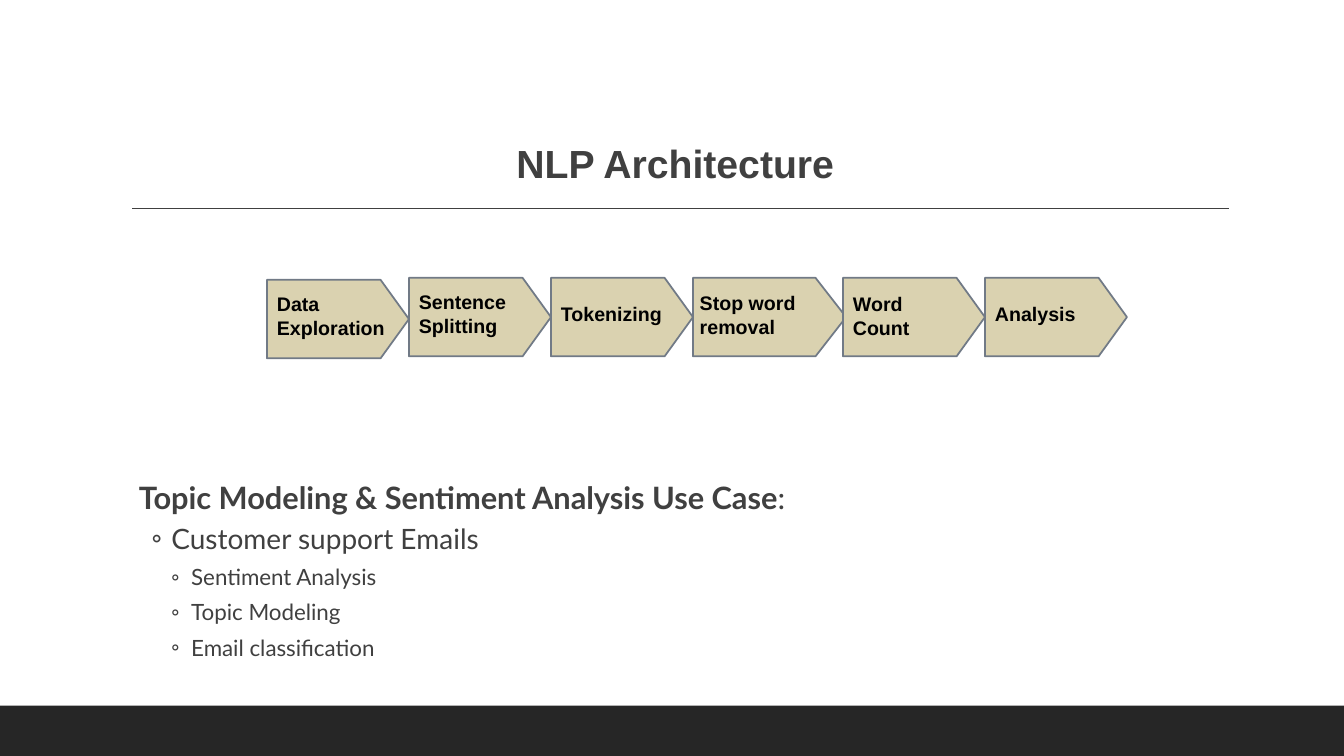
from lxml import etree
from pptx import Presentation
from pptx import util as u
from pptx.dml.color import RGBColor
from pptx.enum import shapes, text
from pptx.oxml.ns import qn

COLORS = {"bar": "262626", "ink": "404040", "label": "000000",
          "arrow": "DAD2B0", "outline": "717A86"}

# label, arrow length, arrow drop, label width, label shift right, label shift down (cm)
STEPS = [
    ("Data Exploration", 3.58, 0.05, 3.56, 0, -0.03),
    ("Sentence Splitting", 3.58, 0, 3.4, 0, -0.08),
    ("Tokenizing", 3.58, 0, 3.2, 0, -0.08),
    ("Stop word removal", 3.86, 0, 4.14, -0.08, -0.06),
    ("Word Count", 3.58, 0, 3.22, 0, -0.04),
    ("Analysis", 3.58, 0, 3.68, 0, -0.08),
]
ARROW_HEIGHT = 1.98
LONG_ARROW_OVERLAP = 0.08

# text, level, size, left margin (cm), bullet
USE_CASE = [
    ("Topic Modeling & Sentiment Analysis Use Case:", 0, 22, 0.25, None),
    ("Customer support Emails", 1, 20, 1.07, "◦"),
    ("Sentiment Analysis", 2, 16, 1.57, "◦"),
    ("Topic Modeling", 2, 16, 1.57, "◦"),
    ("Email classification", 2, 16, 1.57, "◦"),
]


def color(name):
    return RGBColor.from_string(COLORS[name])


def place(shape, left, top, width, height):
    shape.left, shape.top = u.Cm(left), u.Cm(top)
    shape.width, shape.height = u.Cm(width), u.Cm(height)


def format_runs(paragraph, name, size, color_name, bold):
    for run in paragraph.runs:
        run.font.name, run.font.size, run.font.bold = name, u.Pt(size), bold
        run.font.color.rgb = color(color_name)


def set_bullet(paragraph, margin, bullet):
    properties = paragraph._p.get_or_add_pPr()
    properties.set("marL", str(u.Cm(margin)))
    properties.set("indent", str(u.Cm(-0.51) if bullet else 0))
    if bullet:
        bullet_color = etree.SubElement(properties, qn("a:buClr"))
        etree.SubElement(bullet_color, qn("a:srgbClr"), val=COLORS["ink"])
        etree.SubElement(properties, qn("a:buFont"), typeface="Lato")
        etree.SubElement(properties, qn("a:buChar"), char=bullet)
    else:
        etree.SubElement(properties, qn("a:buNone"))


def add_frame(slide, left, top, width, height):
    """Footer bar and the rule under the title."""
    bar_height = 1.27
    bar = slide.shapes.add_shape(
        shapes.MSO_SHAPE.RECTANGLE, u.Cm(left), u.Cm(top + height - bar_height),
        u.Cm(width), u.Cm(bar_height))
    bar.shadow.inherit = False
    bar.fill.solid()
    bar.fill.fore_color.rgb = color("bar")
    bar.line.fill.background()

    rule_top = u.Cm(top + 5.26)
    rule = slide.shapes.add_connector(
        shapes.MSO_CONNECTOR.STRAIGHT, u.Cm(left + 3.33), rule_top,
        u.Cm(left + 30.99), rule_top)
    rule.line.color.rgb = color("ink")
    rule.line.width = u.Pt(1)
    etree.SubElement(rule._element.spPr, qn("a:effectLst"))


def add_title(slide, left, top, width, height):
    title = slide.shapes.title
    place(title, left, top, width, height)
    frame = title.text_frame
    frame.text = "NLP Architecture"
    frame.auto_size = text.MSO_AUTO_SIZE.NONE
    frame.vertical_anchor = text.MSO_ANCHOR.BOTTOM
    paragraph = frame.paragraphs[0]
    paragraph.alignment = text.PP_ALIGN.CENTER
    paragraph.line_spacing = 0.9
    format_runs(paragraph, "Arial", 28, "ink", True)


def add_arrow(slide, left, top, length, height):
    """The connector shape points down, so it is turned about its centre."""
    arrow = slide.shapes.add_shape(
        shapes.MSO_SHAPE.FLOWCHART_OFFPAGE_CONNECTOR,
        u.Cm(left + (length - height) / 2), u.Cm(top + (height - length) / 2),
        u.Cm(height), u.Cm(length))
    arrow.rotation = 270
    arrow.shadow.inherit = False
    arrow.fill.solid()
    arrow.fill.fore_color.rgb = color("arrow")
    arrow.line.color.rgb = color("outline")
    arrow.line.width = u.Pt(1.25)


def add_label(slide, label, left, top, width, height):
    box = slide.shapes.add_textbox(u.Cm(left), u.Cm(top), u.Cm(width), u.Cm(height))
    frame = box.text_frame
    frame.word_wrap = True
    frame.vertical_anchor = text.MSO_ANCHOR.MIDDLE
    frame.text = label
    format_runs(frame.paragraphs[0], "Arial", 14, "label", True)


def add_pipeline(slide, left, top):
    for label, length, drop, label_width, shift_x, shift_y in STEPS:
        add_arrow(slide, left, top + drop, length, ARROW_HEIGHT)
        add_label(slide, label, left + shift_x, top + shift_y, label_width, ARROW_HEIGHT)
        left += length
        if length > 3.58:
            left -= LONG_ARROW_OVERLAP


def add_use_case(slide, left, top, width, height):
    body = slide.placeholders[1]
    place(body, left, top, width, height)
    frame = body.text_frame
    frame.text = "\n".join(line[0] for line in USE_CASE)
    frame.auto_size = text.MSO_AUTO_SIZE.NONE
    frame.margin_left = frame.margin_right = 0
    for paragraph, (_, level, size, margin, bullet) in zip(frame.paragraphs, USE_CASE):
        heading = level == 0
        paragraph.level = level
        paragraph.line_spacing = 1.1 if heading else 1.0
        paragraph.space_before = u.Pt(0 if heading else 2)
        paragraph.space_after = u.Pt(2 if heading else 4)
        set_bullet(paragraph, margin, bullet)
        if heading:
            # The closing colon is a run of its own, in regular weight
            paragraph.runs[0].text = paragraph.text.rstrip(":")
            paragraph.add_run().text = ":"
        format_runs(paragraph, "Lato", size, "ink", heading)
        paragraph.runs[-1].font.bold = False


def main():
    presentation = Presentation()
    presentation.slide_width, presentation.slide_height = u.Cm(33.88), u.Cm(19.05)
    slide = presentation.slides.add_slide(presentation.slide_layouts[1])
    add_frame(slide, 0, 0, 33.88, 19.05)
    add_title(slide, 3.05, 0.79, 27.94, 4.04)
    add_pipeline(slide, 6.73, 7)
    add_use_case(slide, 3.25, 11.84, 27.94, 5.15)
    presentation.save("out.pptx")


if __name__ == "__main__":
    main()
